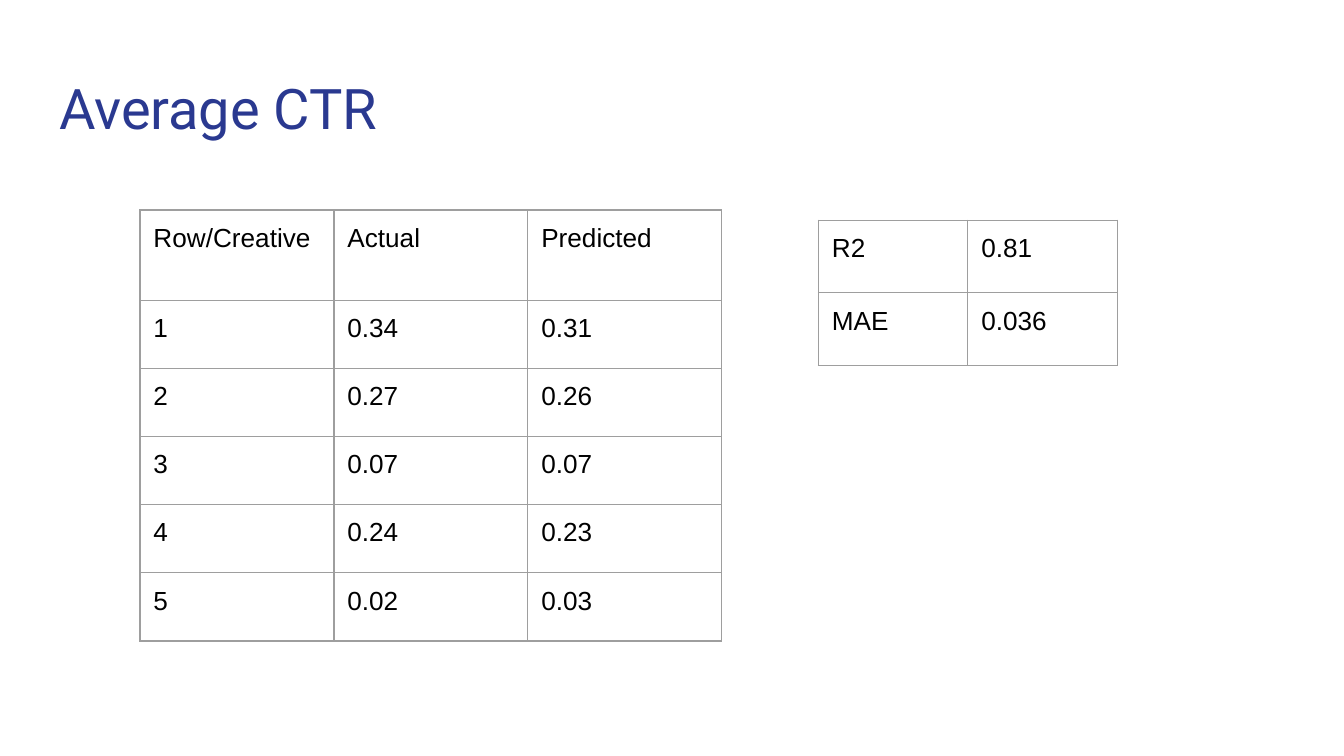
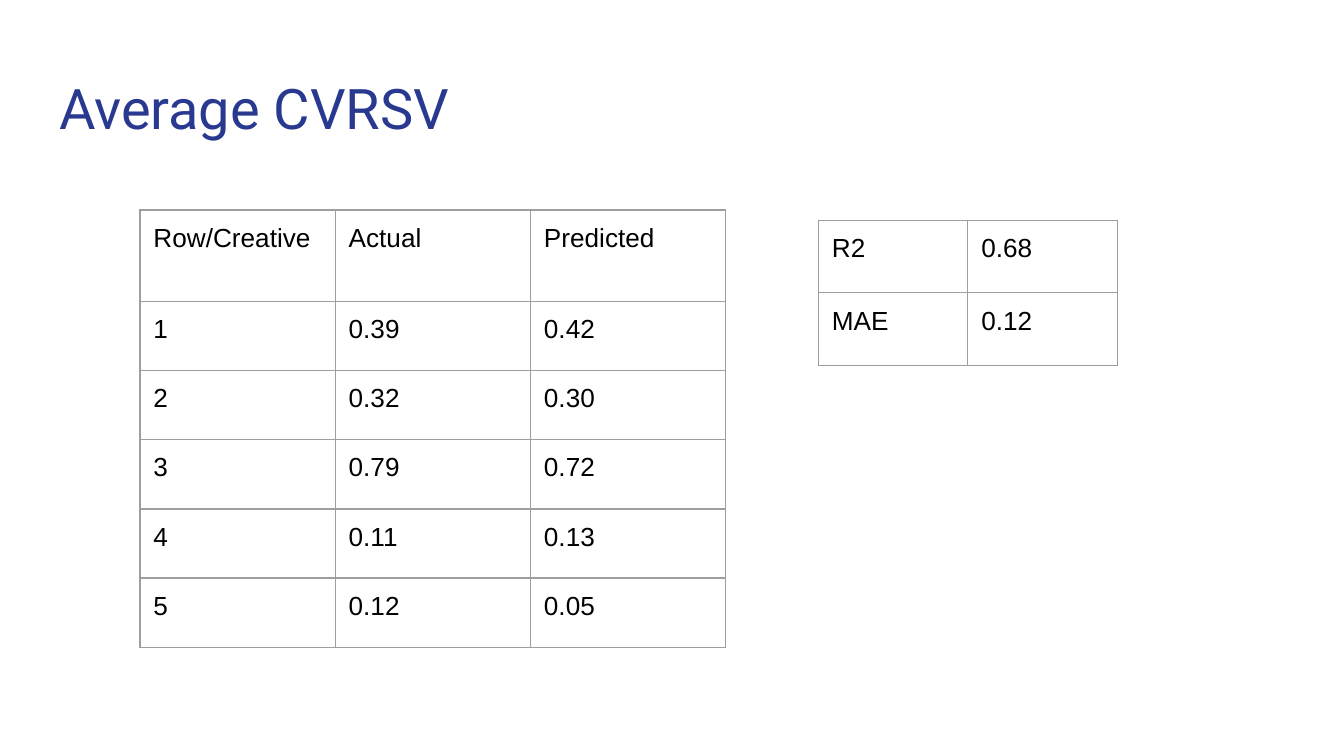
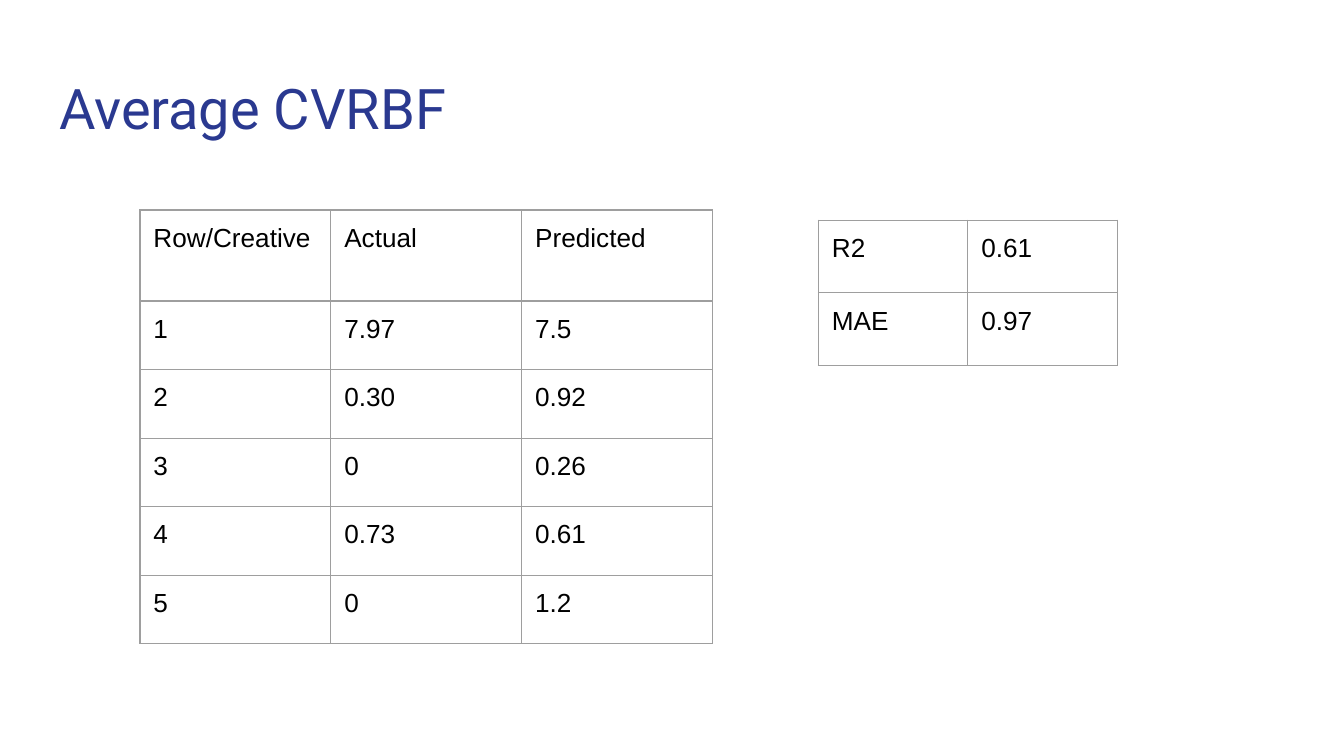
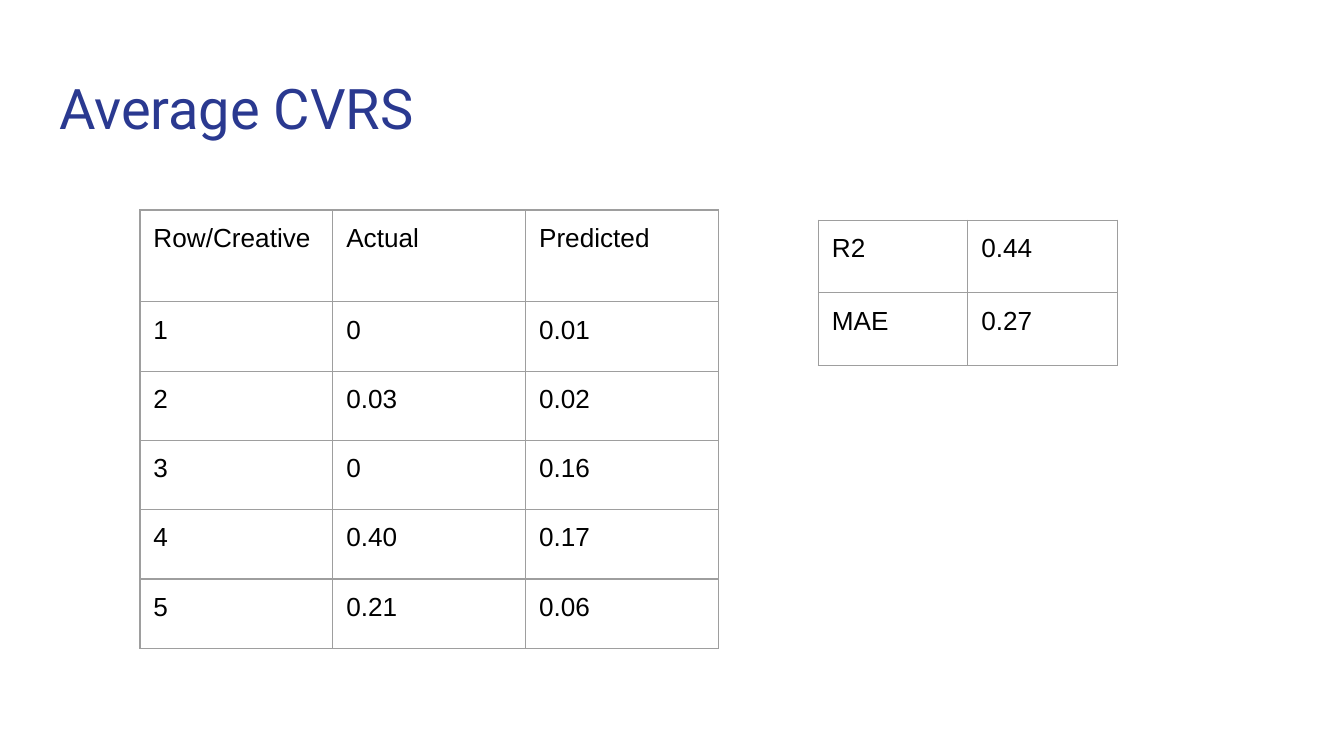
from dataclasses import dataclass

from lxml.etree import SubElement as Sub
from pptx import Presentation as Deck
from pptx.dml.color import RGBColor as Color
from pptx.enum.text import MSO_ANCHOR as Anchor, MSO_AUTO_SIZE as Fit, PP_ALIGN as Align
from pptx.oxml.ns import qn
from pptx.slide import Slide
from pptx.table import _Cell as Cell
from pptx.text.text import TextFrame as Frame
from pptx.util import Pt

NAVY = Color(0x2A, 0x39, 0x90)
GRAY = Color(0x9E, 0x9E, 0x9E)
BLACK = Color(0, 0, 0)
WHITE = Color(255, 255, 255)
INSET = Pt(7.2)
RULE = Pt(0.75)
HEADS = ("Row/Creative", "Actual", "Predicted")


@dataclass(frozen=True)
class Style:
    font: str
    size: float
    color: Color


@dataclass(frozen=True)
class Grid:
    left: float
    top: float
    width: float
    tops: float
    rest: float
    rows: list[tuple[str, ...]]


@dataclass(frozen=True)
class Metric:
    title: str
    width: float
    tops: float
    rest: float
    pairs: tuple[tuple[str, str], ...]
    score: str
    error: str


TITLE = Style("Roboto", 30, NAVY)
BODY = Style("Arial", 14, BLACK)

METRICS = (
    Metric("Average CTR", 103.9, 48.5, 36.5,
           (("0.34", "0.31"), ("0.27", "0.26"), ("0.07", "0.07"),
            ("0.24", "0.23"), ("0.02", "0.03")), "0.81", "0.036"),
    Metric("Average CVRSV", 104.6, 49, 37.05,
           (("0.39", "0.42"), ("0.32", "0.30"), ("0.79", "0.72"),
            ("0.11", "0.13"), ("0.12", "0.05")), "0.68", "0.12"),
    Metric("Average CVRBF", 102.25, 48.75, 36.75,
           (("7.97", "7.5"), ("0.30", "0.92"), ("0", "0.26"),
            ("0.73", "0.61"), ("0", "1.2")), "0.61", "0.97"),
    Metric("Average CVRS", 103.3, 49.2, 37.15,
           (("0", "0.01"), ("0.03", "0.02"), ("0", "0.16"),
            ("0.40", "0.17"), ("0.21", "0.06")), "0.44", "0.27"),
)


def write(frame: Frame, text: str, style: Style) -> None:
    para = frame.paragraphs[0]
    para.alignment = Align.LEFT
    run = para.add_run()
    run.text = text
    run.font.name = style.font
    run.font.size = Pt(style.size)
    run.font.color.rgb = style.color


def pad(box: Cell | Frame) -> None:
    box.margin_left = box.margin_right = INSET
    box.margin_top = box.margin_bottom = INSET


def edge(cell: Cell) -> None:
    props = cell._tc.get_or_add_tcPr()
    for side in ("lnL", "lnR", "lnT", "lnB"):
        line = Sub(props, qn(f"a:{side}"), w=str(RULE))
        fill = Sub(line, qn("a:solidFill"))
        Sub(fill, qn("a:srgbClr"), val=str(GRAY))


def add_title(slide: Slide, text: str) -> None:
    title = slide.shapes.title
    title.left, title.top = Pt(24.5), Pt(32.4)
    title.width, title.height = Pt(671), Pt(47.5)
    frame = title.text_frame
    frame.auto_size = Fit.NONE
    frame.word_wrap = True
    frame.vertical_anchor = Anchor.TOP
    pad(frame)
    write(frame, text, TITLE)


def add_grid(slide: Slide, grid: Grid) -> None:
    count, span = len(grid.rows), len(grid.rows[0])
    high = grid.tops + grid.rest * (count - 1)
    table = slide.shapes.add_table(
        count, span, Pt(grid.left), Pt(grid.top),
        Pt(grid.width * span), Pt(high)).table
    table.first_row = table.horz_banding = False
    for col in table.columns:
        col.width = Pt(grid.width)
    for i, row in enumerate(grid.rows):
        table.rows[i].height = Pt(grid.rest if i else grid.tops)
        for j, text in enumerate(row):
            cell = table.cell(i, j)
            edge(cell)
            cell.fill.background()
            cell.vertical_anchor = Anchor.TOP
            pad(cell)
            write(cell.text_frame, text, BODY)


def add_metric(deck: Deck, item: Metric) -> None:
    slide = deck.slides.add_slide(deck.slide_layouts[5])
    add_title(slide, item.title)
    rows = [HEADS] + [(str(i), *pair) for i, pair in enumerate(item.pairs, 1)]
    add_grid(slide, Grid(75, 112.5, item.width, item.tops, item.rest, rows))
    stats = [("R2", item.score), ("MAE", item.error)]
    add_grid(slide, Grid(438.5, 118, 80, 38.9, 38.9, stats))


def main() -> None:
    deck = Deck()
    deck.slide_width, deck.slide_height = Pt(720), Pt(405)
    back = deck.slide_master.background.fill
    back.solid()
    back.fore_color.rgb = WHITE
    for item in METRICS:
        add_metric(deck, item)
    deck.save("out.pptx")


if __name__ == "__main__":
    main()
